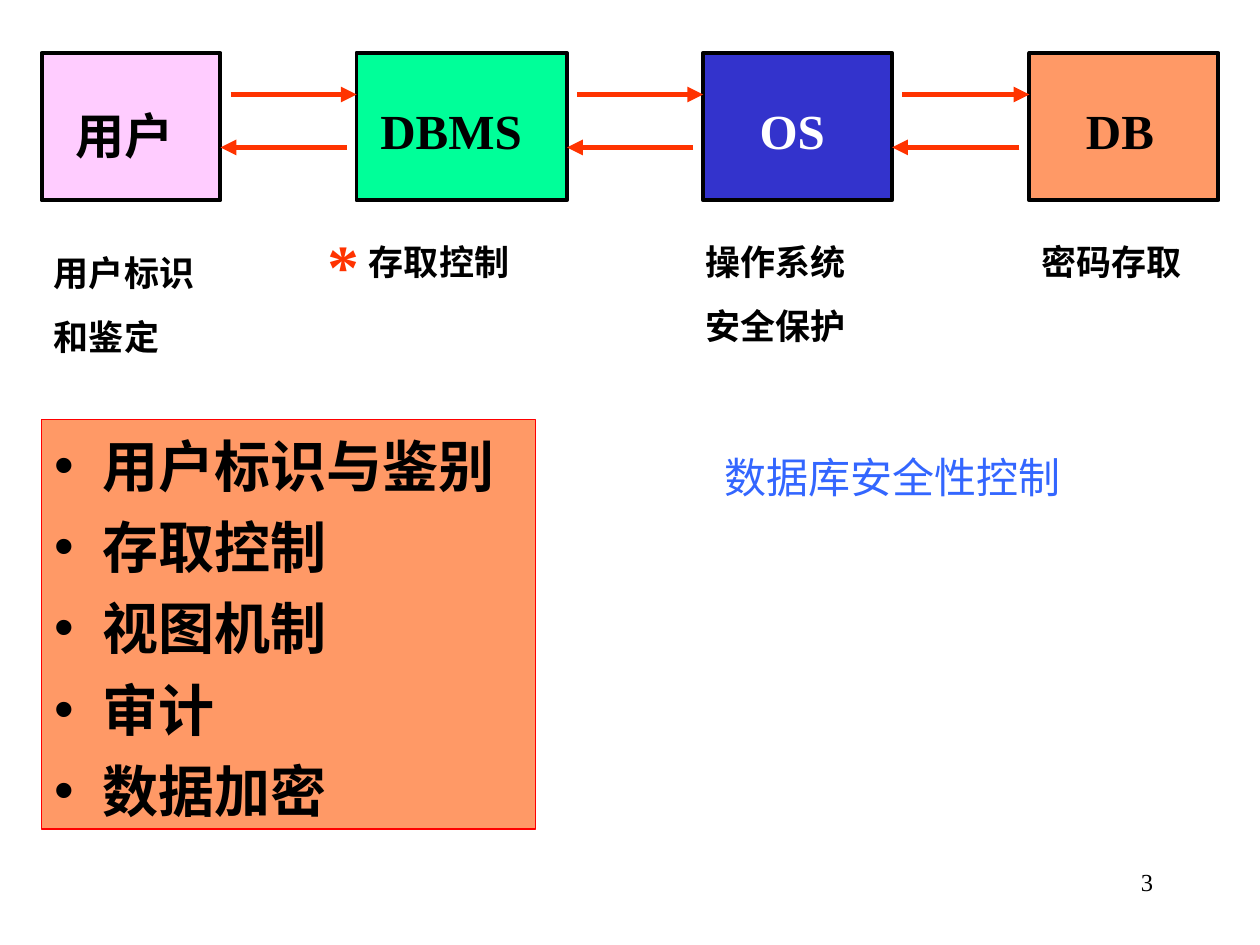
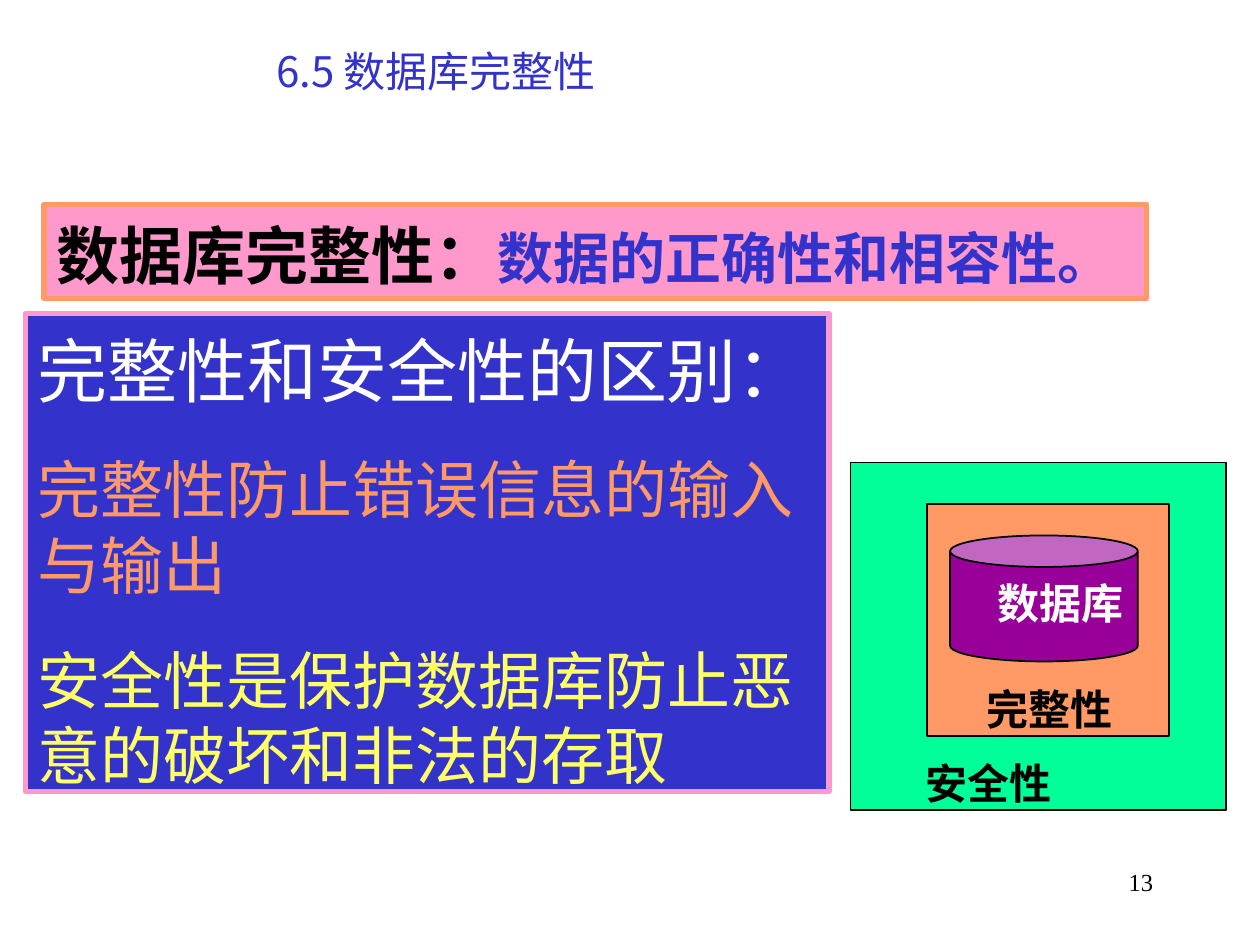
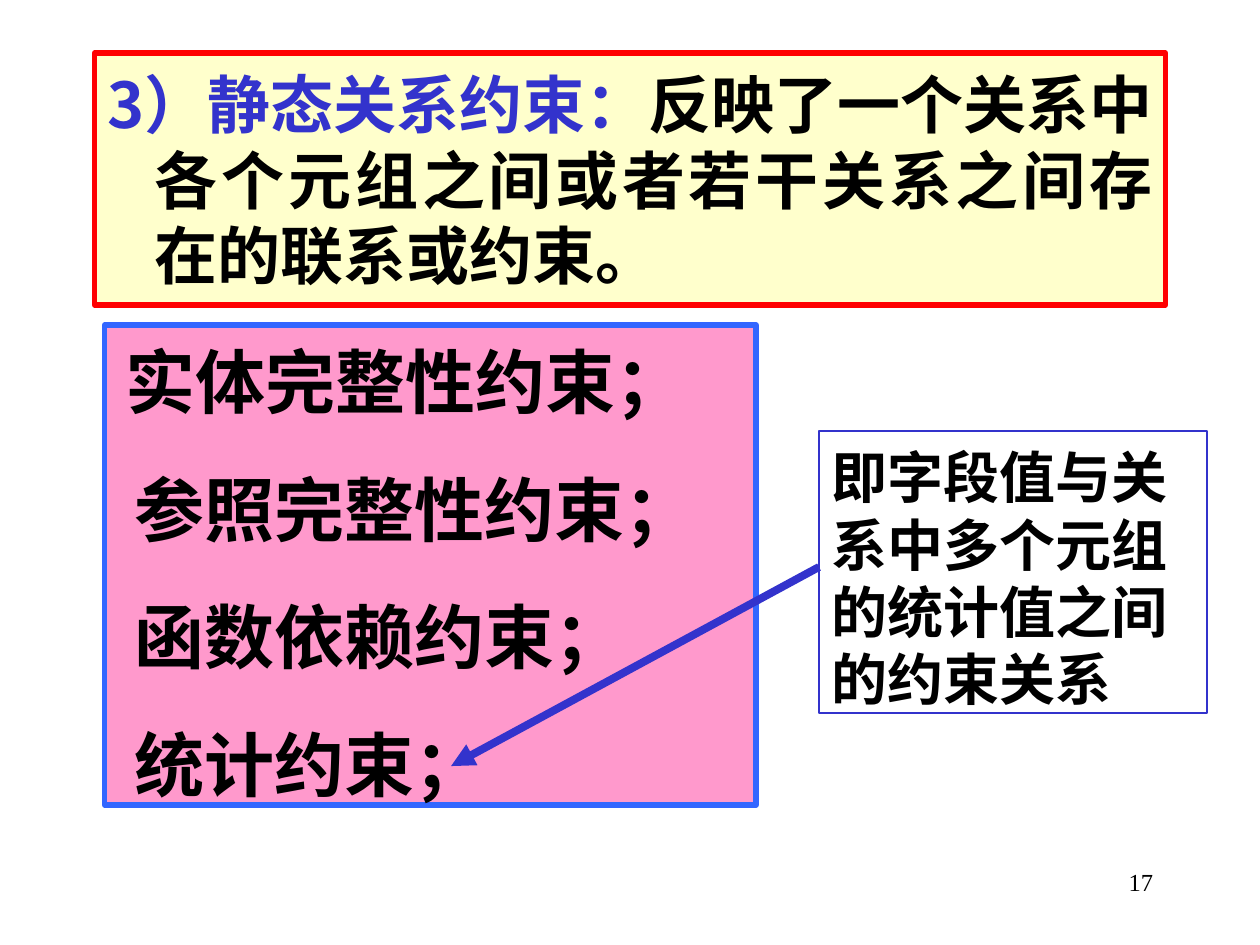
from lxml.etree import SubElement
from pptx import Presentation
from pptx.dml.color import RGBColor
from pptx.enum.shapes import MSO_CONNECTOR, MSO_SHAPE
from pptx.enum.text import MSO_ANCHOR, MSO_AUTO_SIZE, PP_ALIGN
from pptx.oxml.ns import qn
from pptx.util import Inches, Pt

BLACK = RGBColor(0x00, 0x00, 0x00)
WHITE = RGBColor(0xFF, 0xFF, 0xFF)
RED = RGBColor(0xFF, 0x00, 0x00)
VERMILION = RGBColor(0xFF, 0x33, 0x00)
ORANGE = RGBColor(0xFF, 0x99, 0x66)
GREEN = RGBColor(0x00, 0xFF, 0x99)
INDIGO = RGBColor(0x33, 0x33, 0xCC)
BLUE = RGBColor(0x33, 0x66, 0xFF)
LILAC = RGBColor(0xFF, 0xCC, 0xFF)
PINK = RGBColor(0xFF, 0x99, 0xCC)
PURPLE = RGBColor(0x99, 0x00, 0x99)
YELLOW = RGBColor(0xFF, 0xFF, 0x66)
CREAM = RGBColor(0xFF, 0xFF, 0xCC)
SERIF = "Times New Roman"
SANS = "Noto Sans CJK SC"
LINE_HEIGHT = 1.2


def add_box(s, at, fill=None, line=None, width=1, kind=None, sp=None):
    at = [Inches(v) for v in at]
    if sp is not None:
        sp.left, sp.top, sp.width, sp.height = at
    elif kind is not None:
        sp = s.shapes.add_shape(kind, *at)
        sp.shadow.inherit = False
    else:
        sp = s.shapes.add_textbox(*at)
    if fill is not None:
        sp.fill.solid()
        sp.fill.fore_color.rgb = fill
    if line is not None:
        sp.line.color.rgb = line
        sp.line.width = Pt(width)
    return sp


def write(sp, text, size=24, color=BLACK, bold=True, font=SERIF, align=PP_ALIGN.LEFT,
          before=0, indent=0, hang=0, bullet=None, drop=0.1, join=False):
    tf = sp.text_frame
    first = not tf.text
    if first:
        tf.word_wrap = True
        tf.auto_size = MSO_AUTO_SIZE.NONE
        tf.vertical_anchor = MSO_ANCHOR.TOP
        tf.margin_top = Pt(3.6 + size * drop)
    p = tf.paragraphs[-1] if first or join else tf.add_paragraph()
    if not join:
        pPr = p._p.get_or_add_pPr()
        pPr.set("marL", str(Inches(indent + hang)))
        pPr.set("indent", str(-Inches(hang)))
        if bullet:
            SubElement(pPr, qn("a:buChar")).set("char", bullet)
        else:
            SubElement(pPr, qn("a:buNone"))
        p.alignment = align
        p.line_spacing = Pt(size * LINE_HEIGHT)
        p.space_before = Pt(0 if first else before)
    r = p.add_run()
    r.text = text
    r.font.size = Pt(size)
    r.font.bold = bold
    r.font.color.rgb = color
    r.font.name = font
    SubElement(r._r.get_or_add_rPr(), qn("a:ea")).set("typeface", SANS)


prs = Presentation()
prs.slide_width = Inches(10)
prs.slide_height = Inches(7.5)

slides = []
for number in (3, 13, 17):
    s = prs.slides.add_slide(prs.slide_layouts[1])
    sp = add_box(s, (7.17, 6.83, 2.08, 0.5))
    write(sp, str(number), size=14, bold=False, align=PP_ALIGN.RIGHT, drop=0)
    slides.append(s)
security, integrity, constraints = slides
arrows = []

s = security
sp = add_box(s, (4.58, 3.5, 5, 2.25), sp=s.shapes.title)
write(sp, "数据库安全性控制", color=BLUE, bold=False, font=SANS, align=PP_ALIGN.CENTER)
sp = add_box(s, (0.33, 3.33, 3.92, 3.25), ORANGE, RED, 0.75, sp=s.placeholders[1])
for text in ("用户标识与鉴别", "存取控制", "视图机制", "审计", "数据加密"):
    write(sp, text, size=32, before=8, hang=0.38, bullet="•")

layers = [
    ("用户", 0.33, 1.42, LILAC, BLACK, 0.5, 0.1),
    ("DBMS", 2.83, 1.67, GREEN, BLACK, 2.92, 0),
    ("OS", 5.58, 1.5, INDIGO, WHITE, 5.93, 0),
    ("DB", 8.17, 1.5, ORANGE, BLACK, 8.52, 0),
]
for text, x, w, fill, color, text_x, drop in layers:
    add_box(s, (x, 0.42, w, 1.17), fill, BLACK, 2.25, MSO_SHAPE.RECTANGLE)
    sp = add_box(s, (text_x, 0.75, 1.42, 0.57))
    write(sp, text, size=28, color=color, drop=drop)

for layer, following in zip(layers, layers[1:]):
    right, left = layer[1] + layer[2], following[1]
    arrows.append((s, right + 0.08, 0.75, left, 0.75, VERMILION, 3))
    arrows.append((s, left - 0.08, 1.17, right, 1.17, VERMILION, 3))

for x, y, lines in (
    (0.33, 1.92, ("用户标识", "和鉴定")),
    (2.83, 1.83, ("存取控制",)),
    (5.5, 1.83, ("操作系统", "安全保护")),
    (8.17, 1.83, ("密码存取",)),
):
    sp = add_box(s, (x, y, 1.58, 0.94))
    for text in lines:
        write(sp, text, size=20, before=12.5)
sp = add_box(s, (2.5, 1.75, 0.83, 0.7))
write(sp, "*", size=36, color=VERMILION, drop=0)

s = integrity
sp = add_box(s, (0.67, 0.28, 5.58, 1), sp=s.shapes.title)
write(sp, "6.5 数据库完整性", color=INDIGO, bold=False, font=SANS, align=PP_ALIGN.CENTER)
sp = add_box(s, (0.35, 1.62, 8.75, 0.75), PINK, ORANGE, 3, sp=s.placeholders[1])
write(sp, "数据库完整性：", size=36, hang=0.38)
write(sp, "数据的正确性和相容性。", size=32, color=INDIGO, join=True)

sp = add_box(s, (0.2, 2.49, 6.38, 3.79), INDIGO, PINK, 3, MSO_SHAPE.RECTANGLE)
write(sp, "完整性和安全性的区别：", size=40, color=WHITE, bold=False)
for text, color in (
    ("完整性防止错误信息的输入与输出", ORANGE),
    ("安全性是保护数据库防止恶意的破坏和非法的存取", YELLOW),
):
    write(sp, text, size=36, color=color, bold=False, before=22.5)

for at, fill, kind in (
    ((6.75, 3.67, 2.98, 2.76), GREEN, MSO_SHAPE.RECTANGLE),
    ((7.36, 4, 1.92, 1.84), ORANGE, MSO_SHAPE.RECTANGLE),
    ((7.54, 4.25, 1.49, 1), PURPLE, MSO_SHAPE.CAN),
):
    add_box(s, at, fill, BLACK, 1, kind)
for text, x, y, w, color in (
    ("完整性", 7.54, 5.34, 1.58, BLACK),
    ("安全性", 7.1, 5.93, 1.49, BLACK),
    ("数据库", 7.63, 4.5, 1.58, WHITE),
):
    sp = add_box(s, (x, y, w, 0.5))
    write(sp, text, color=color, align=PP_ALIGN.CENTER)

s = constraints
title = s.shapes.title._element
title.getparent().remove(title)
sp = add_box(s, (0.75, 0.42, 8.5, 2), CREAM, RED, 3, sp=s.placeholders[1])
write(sp, "3）静态关系约束：", size=36, color=INDIGO, font=SANS, align=PP_ALIGN.JUSTIFY, hang=0.38)
write(sp, "反映了一个关系中各个元组之间或者若干关系之间存在的联系或约束。", size=36, font=SANS, join=True)

sp = add_box(s, (0.83, 2.58, 5.17, 3.81), PINK, BLUE, 3, MSO_SHAPE.RECTANGLE)
for text, indent in (
    ("实体完整性约束；", 0.07),
    ("参照完整性约束；", 0.14),
    ("函数依赖约束；", 0.14),
    ("统计约束；", 0.14),
):
    write(sp, text, size=40, align=PP_ALIGN.JUSTIFY, before=25, indent=indent)
sp = add_box(s, (6.5, 3.42, 3.08, 2.24), line=INDIGO, width=0.75)
write(sp, "即字段值与关系中多个元组的统计值之间的约束关系", size=32)
arrows.append((s, 6.5, 4.5, 3.58, 6.08, INDIGO, 4.5))

for s, x1, y1, x2, y2, color, width in arrows:
    ends = [Inches(v) for v in (x1, y1, x2, y2)]
    line = s.shapes.add_connector(MSO_CONNECTOR.STRAIGHT, *ends)
    line.line.color.rgb = color
    line.line.width = Pt(width)
    SubElement(line.line._get_or_add_ln(), qn("a:tailEnd")).set("type", "triangle")
    SubElement(line._element.spPr, qn("a:effectLst"))

prs.save("out.pptx")
